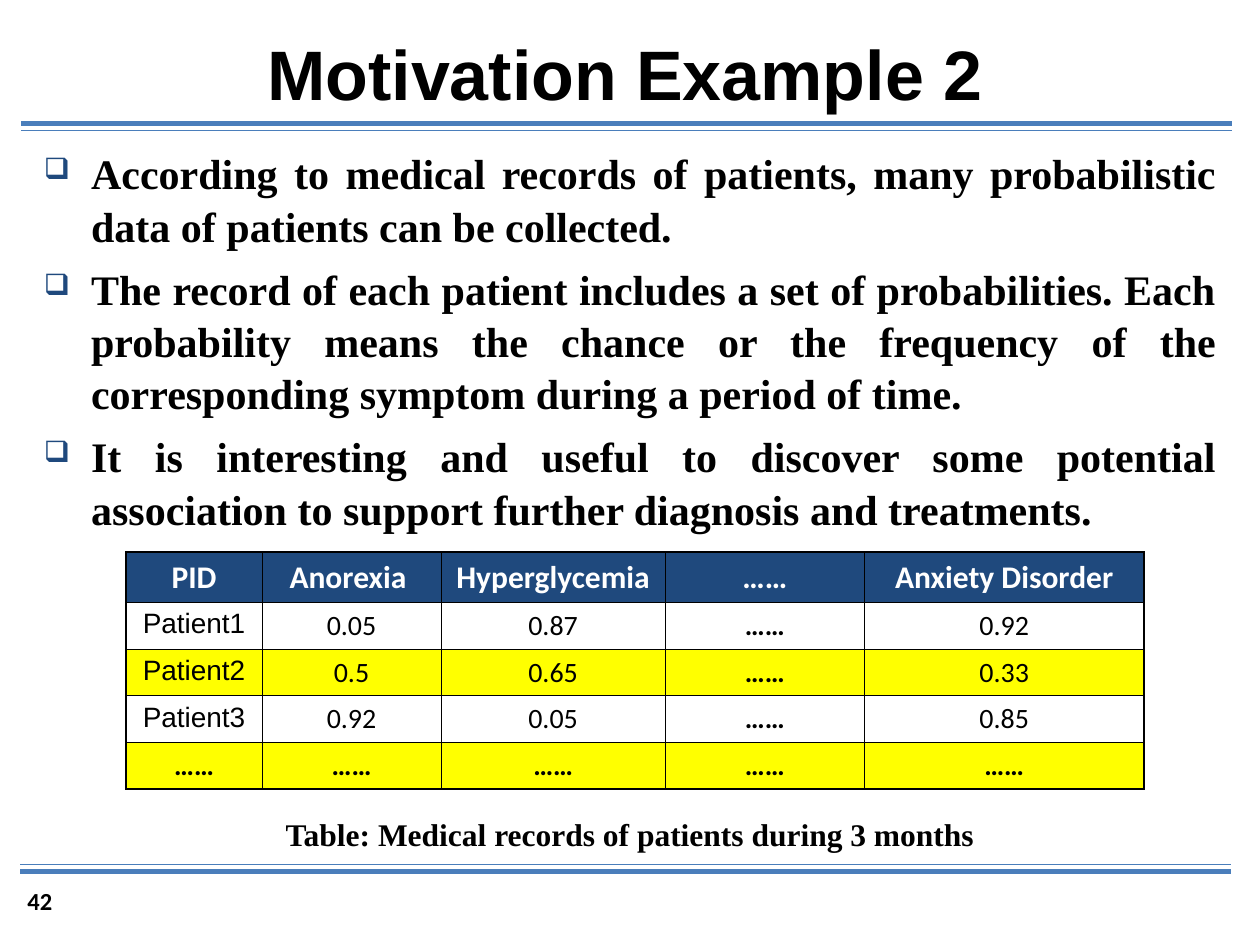
import lxml.etree
import pptx
import pptx.dml.color
import pptx.enum.shapes
import pptx.enum.text
import pptx.oxml.ns
import pptx.util

Pt = pptx.util.Pt
ALIGN = pptx.enum.text.PP_ALIGN
ANCHOR = pptx.enum.text.MSO_ANCHOR
qn = pptx.oxml.ns.qn

BLACK, WHITE, NAVY, BLUE, YELLOW = "000000", "FFFFFF", "1F497D", "4A7EBB", "FFFF00"
DOTS = "……"
POINTS = [
    "According to medical records of patients, many probabilistic data of patients can be collected.",
    "The record of each patient includes a set of probabilities. Each probability means the chance "
    "or the frequency of the corresponding symptom during a period of time.",
    "It is interesting and useful to discover some potential association to support further "
    "diagnosis and treatments.",
]
RECORDS = [
    ["PID", "Anorexia ", "Hyperglycemia", DOTS, "Anxiety Disorder"],
    ["Patient1", "0.05", "0.87", DOTS, "0.92"],
    ["Patient2", "0.5", "0.65", DOTS, "0.33"],
    ["Patient3", "0.92", "0.05", DOTS, "0.85"],
    [DOTS] * 5,
]
COLUMN_WIDTHS = [77.8, 102.2, 128.2, 113.8, 159.8]
ROW_HEIGHTS = [28.8] + [26.7] * 4


def color(value):
    """Return the colour for a hex string."""
    return pptx.dml.color.RGBColor.from_string(value)


def style(paragraph, size, font, ink=BLACK, bold=True, align=ALIGN.LEFT):
    """Format a paragraph and its runs."""
    paragraph.alignment = align
    for run in paragraph.runs:
        run.font.size = Pt(size)
        run.font.name = font
        run.font.bold = bold
        run.font.color.rgb = color(ink)


def add_rule(slide, left, top, width, weight):
    """Draw one horizontal rule."""
    rule = slide.shapes.add_connector(
        pptx.enum.shapes.MSO_CONNECTOR.STRAIGHT, Pt(left), Pt(top), Pt(left + width), Pt(top))
    rule.line.color.rgb = color(BLUE)
    rule.line.width = Pt(weight)
    lxml.etree.SubElement(rule._element.spPr, qn("a:effectLst"))


def add_text(slide, box, lines, size, font, align=ALIGN.LEFT, anchor=ANCHOR.TOP):
    """Add a wrapped text box and return its text frame."""
    frame = slide.shapes.add_textbox(*map(Pt, box)).text_frame
    frame.word_wrap = True
    frame.vertical_anchor = anchor
    frame.text = "\n".join(lines)
    for paragraph in frame.paragraphs:
        style(paragraph, size, font, align=align)
    return frame


def add_bullet(paragraph):
    """Give a paragraph a hanging navy box bullet."""
    properties = paragraph._p.get_or_add_pPr()
    properties.set("marL", str(Pt(27)))
    properties.set("indent", str(-Pt(27)))
    tint = lxml.etree.SubElement(properties, qn("a:buClr"))
    lxml.etree.SubElement(tint, qn("a:srgbClr"), val=NAVY)
    lxml.etree.SubElement(properties, qn("a:buSzPct"), val="70000")
    lxml.etree.SubElement(properties, qn("a:buChar"), char="❑")


def add_points(slide):
    """Add the bulleted body text."""
    frame = add_text(slide, (18, 77.8, 684, 221.8), POINTS, 24, "Times New Roman", ALIGN.JUSTIFY)
    frame.margin_top = Pt(5.5)
    for number, paragraph in enumerate(frame.paragraphs):
        add_bullet(paragraph)
        paragraph.line_spacing = 1.04
        if number:
            paragraph.space_before = Pt(6)


def set_borders(cell, outer_sides):
    """Draw the cell borders, heavier on the outer sides."""
    properties = cell._tc.get_or_add_tcPr()
    for position, side in enumerate("LRTB"):
        weight = 1.08 if side in outer_sides else 0.45
        border = lxml.etree.Element(qn("a:ln" + side), w=str(Pt(weight)))
        ink = lxml.etree.SubElement(border, qn("a:solidFill"))
        lxml.etree.SubElement(ink, qn("a:srgbClr"), val=BLACK)
        properties.insert(position, border)


def fill_cell(cell, text, row, column):
    """Write and format one cell of the records table."""
    cell.text = text
    paragraph = cell.text_frame.paragraphs[0]
    if row == 0:
        style(paragraph, 18, "Calibri", WHITE, align=ALIGN.CENTER)
    else:
        font = "Arial" if text.startswith("Patient") else "Calibri"
        style(paragraph, 16, font, bold=text == DOTS, align=ALIGN.CENTER)
    if row % 2 and row:
        cell.fill.background()
    else:
        cell.fill.solid()
        cell.fill.fore_color.rgb = color(YELLOW if row else NAVY)
    edges = {"L": column == 0, "R": column == len(COLUMN_WIDTHS) - 1,
             "T": row == 0, "B": row == len(RECORDS) - 1}
    set_borders(cell, [side for side, outer in edges.items() if outer])


def add_records(slide):
    """Add the table of medical records."""
    records = slide.shapes.add_table(
        len(RECORDS), len(COLUMN_WIDTHS), Pt(72), Pt(315.4),
        Pt(sum(COLUMN_WIDTHS)), Pt(sum(ROW_HEIGHTS))).table
    records.first_row = records.horz_banding = False
    for column, width in zip(records.columns, COLUMN_WIDTHS):
        column.width = Pt(width)
    for row, height in zip(records.rows, ROW_HEIGHTS):
        row.height = Pt(height)
    for row, values in enumerate(RECORDS):
        for column, text in enumerate(values):
            fill_cell(records.cell(row, column), text, row, column)


def main():
    """Build the slide and save it."""
    deck = pptx.Presentation()
    deck.slide_width, deck.slide_height = Pt(720), Pt(540)
    slide = deck.slides.add_slide(deck.slide_layouts[6])
    for left, top, weight in [(12.2, 70.6, 3), (12.2, 74.5, 0.75),
                              (11.5, 498.2, 3), (11.5, 493.9, 0.75)]:
        add_rule(slide, left, top, 692, weight)
    add_text(slide, (59.8, 13, 594.7, 56.9), ["Motivation Example 2"], 40, "Arial",
             ALIGN.CENTER, ANCHOR.MIDDLE)
    add_points(slide)
    add_text(slide, (8.6, 502.6, 73.4, 28.8), ["42"], 14, "Calibri")
    add_records(slide)
    add_text(slide, (18, 462.2, 684, 30.2), ["Table: Medical records of patients during 3 months"],
             18, "Times New Roman", ALIGN.CENTER)
    deck.save("out.pptx")


if __name__ == "__main__":
    main()
